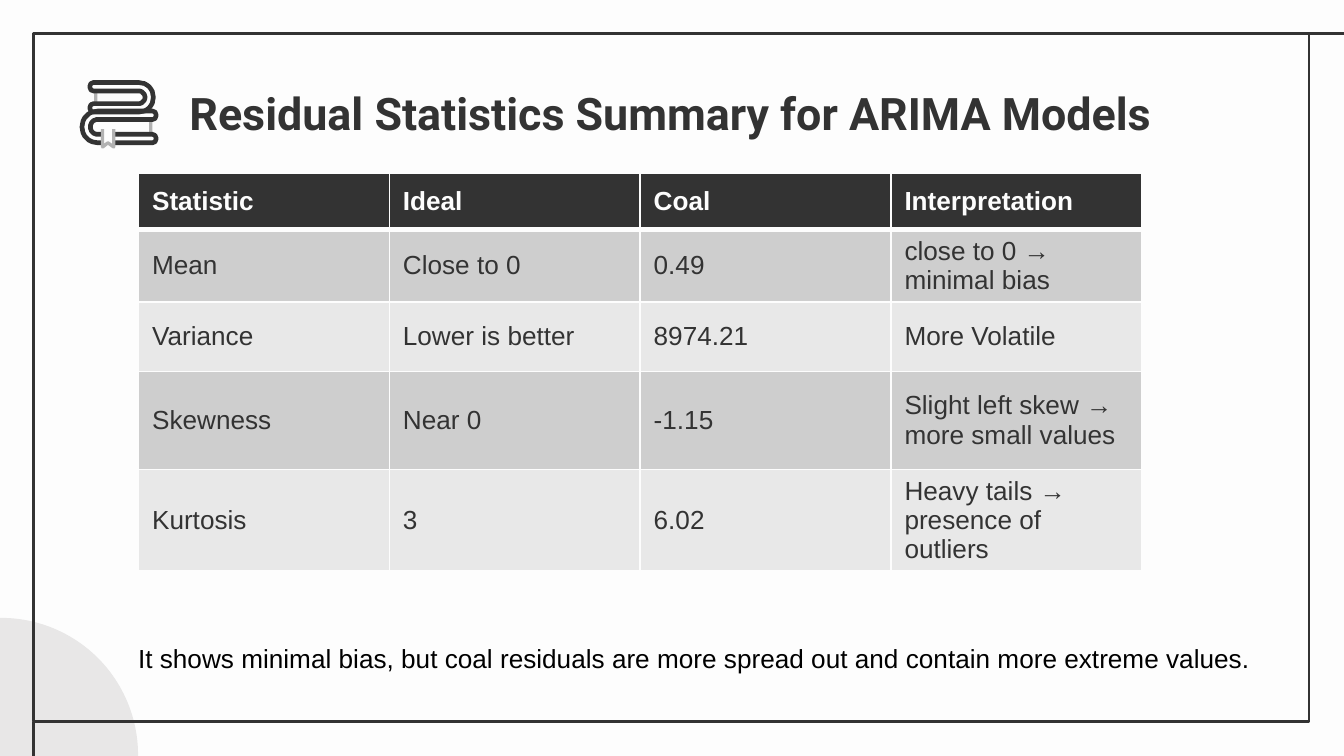
from math import cos, radians, sin

from lxml.etree import SubElement
from pptx import Presentation
from pptx.dml.color import RGBColor
from pptx.enum.shapes import MSO_CONNECTOR, MSO_SHAPE
from pptx.enum.text import MSO_ANCHOR, PP_ALIGN
from pptx.oxml.ns import qn
from pptx.util import Cm, Pt

DARK, LIGHT, GRAY = "333333", "FDFDFD", "B2B2B2"
rgb = RGBColor.from_string


def write(frame, text, size=14, font="Arial", color=DARK, bold=False):
    frame.word_wrap = True
    paragraph = frame.paragraphs[0]
    paragraph.alignment = PP_ALIGN.LEFT
    run = paragraph.add_run()
    run.text = text
    run.font.size = Pt(size)
    run.font.name = font
    run.font.bold = bold
    run.font.color.rgb = rgb(color)


def arc(x, y, radius, start, end):
    """Points along a circle; angles in degrees, clockwise from the right."""
    angles = [radians(start + (end - start) * step / 16) for step in range(17)]
    return [(x + radius * cos(angle), y + radius * sin(angle)) for angle in angles]


presentation = Presentation()
presentation.slide_width = Cm(25.4)
presentation.slide_height = Cm(14.29)
slide = presentation.slides.add_slide(presentation.slide_layouts[5])
slide.background.fill.solid()
slide.background.fill.fore_color.rgb = rgb(LIGHT)
shapes = slide.shapes

# Corner circle and frame
circle = shapes.add_shape(MSO_SHAPE.OVAL, Cm(-2.57), Cm(11.68), Cm(5.18), Cm(5.18))
circle.shadow.inherit = False
circle.fill.solid()
circle.fill.fore_color.rgb = rgb("E8E7E7")
circle.line.fill.background()

frame = shapes.add_shape(MSO_SHAPE.RECTANGLE, Cm(0.64), Cm(0.64), Cm(24.1), Cm(13))
frame.shadow.inherit = False
frame.fill.background()
frame.line.color.rgb = rgb(DARK)
frame.line.width = Pt(1.5)

for x1, y1, x2, y2 in [(25.4, 0.64, 24.74, 0.64), (0.64, 14.29, 0.64, 13.64)]:
    line = shapes.add_connector(MSO_CONNECTOR.STRAIGHT, Cm(x1), Cm(y1), Cm(x2), Cm(y2))
    line.line.color.rgb = rgb(DARK)
    line.line.width = Pt(1.5)
    SubElement(line._element.spPr, qn("a:effectLst"))

# Title
title = shapes.title
title.left, title.top, title.width, title.height = Cm(3.1), Cm(1.24), Cm(20.32), Cm(1.6)
title.text_frame.vertical_anchor = MSO_ANCHOR.TOP
title.text_frame.margin_left = Cm(0.48)
title.text_frame.margin_top = Cm(0.38)
write(title.text_frame, "Residual Statistics Summary for ARIMA Models",
      size=24, font="Roboto", bold=True)

# Book icon, in hundredths of a centimetre
for x, y, height in [(282, 226, 28), (178, 173, 23)]:
    pages = shapes.add_shape(MSO_SHAPE.RECTANGLE, Cm(x / 100), Cm(y / 100),
                             Cm(0.06), Cm(height / 100))
    pages.shadow.inherit = False
    pages.fill.solid()
    pages.fill.fore_color.rgb = rgb(GRAY)
    pages.line.fill.background()

top_book = (arc(262, 184, 28, -90, 90) + arc(178, 204, 8, 90, 270)
            + arc(262, 184, 12, 90, -90) + arc(178, 164, 8, 90, 270))
bottom_book = ([(193, 270)] + arc(185, 240, 30, 90, 270) + arc(287, 218, 8, -90, 90)
               + arc(185, 240, 14, 270, 90) + [(193, 254)])
bottom_edge = [(216, 254)] + arc(287, 262, 8, -90, 90) + [(216, 270)]
bookmark = [(194, 244), (194, 278), (204, 270), (215, 278), (215, 244)]
for points, closed, color, width in [
    (top_book, True, DARK, 2.5),
    (bottom_book, False, DARK, 2.5),
    (bottom_edge, False, DARK, 2.5),
    (bookmark, False, GRAY, 1.75),
]:
    builder = shapes.build_freeform(*points[0], scale=Cm(0.01))
    builder.add_line_segments(points[1:], close=closed)
    outline = builder.convert_to_shape()
    outline.shadow.inherit = False
    outline.fill.background()
    outline.line.color.rgb = rgb(color)
    outline.line.width = Pt(width)

# Statistics table
rows = [
    ("Statistic", "Ideal", "Coal", "Interpretation"),
    ("Mean", "Close to 0", "0.49", "close to 0 → minimal bias"),
    ("Variance", "Lower is better", "8974.21", "More Volatile"),
    ("Skewness", "Near 0", "-1.15", "Slight left skew → more small values"),
    ("Kurtosis", "3", "6.02", "Heavy tails → presence of outliers"),
]
heights = [1.06, 1.32, 1.32, 1.85, 1.85]
table = shapes.add_table(len(rows), 4, Cm(2.62), Cm(3.28), Cm(18.96), Cm(sum(heights))).table
for column in table.columns:
    column.width = Cm(4.74)
for row_index, (texts, height) in enumerate(zip(rows, heights)):
    table.rows[row_index].height = Cm(height)
    header = row_index == 0
    fill = DARK if header else ("CECECE" if row_index % 2 else "E8E8E8")
    for column_index, text in enumerate(texts):
        cell = table.cell(row_index, column_index)
        cell.vertical_anchor = MSO_ANCHOR.MIDDLE
        write(cell.text_frame, text, color=LIGHT if header else DARK, bold=header)
        for side in "LRTB":
            below_header = (row_index, side) in [(0, "B"), (1, "T")]
            border = SubElement(cell._tc.get_or_add_tcPr(), qn(f"a:ln{side}"),
                                w=str(Pt(3 if below_header else 1)))
            SubElement(SubElement(border, qn("a:solidFill")), qn("a:srgbClr"), val=LIGHT)
        cell.fill.solid()
        cell.fill.fore_color.rgb = rgb(fill)

# Conclusion
conclusion = shapes.add_textbox(Cm(2.36), Cm(12.01), Cm(21.64), Cm(0.86))
write(conclusion.text_frame,
      "It shows minimal bias, but coal residuals are more spread out "
      "and contain more extreme values.", color="000000")

presentation.save("out.pptx")
